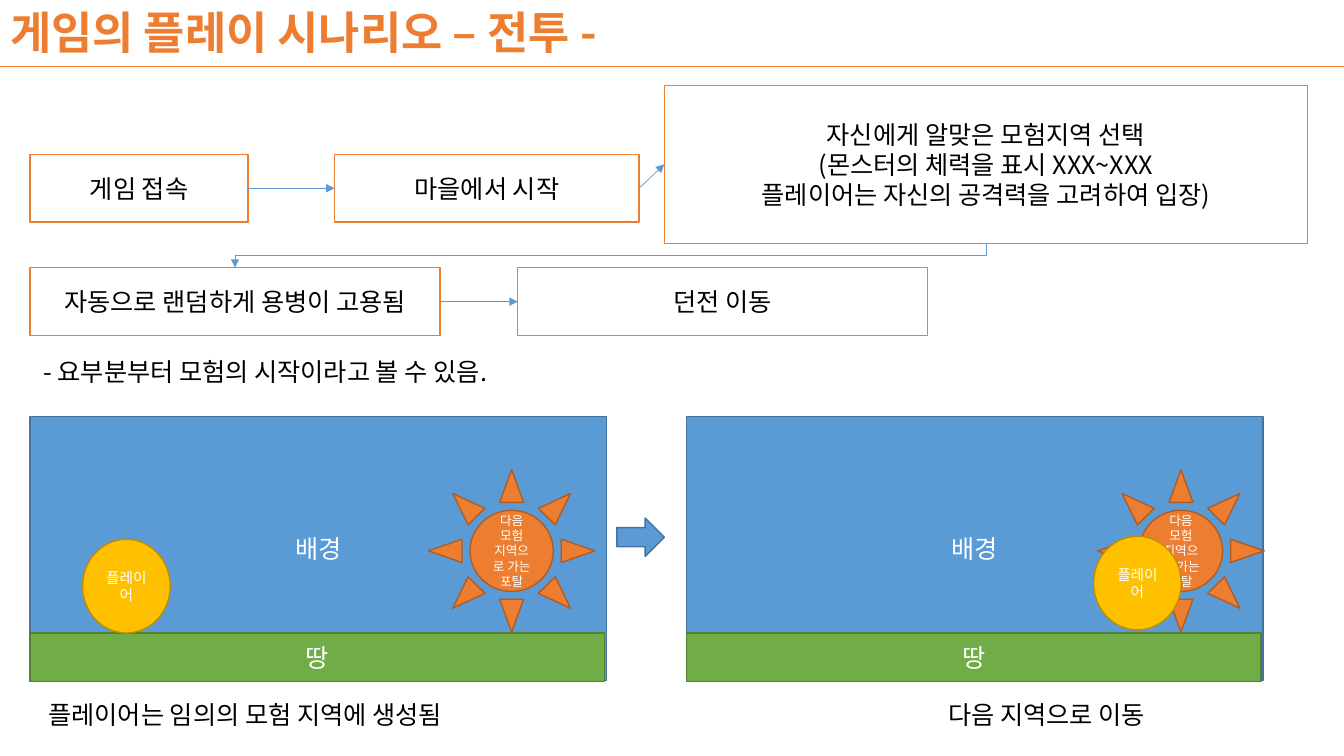
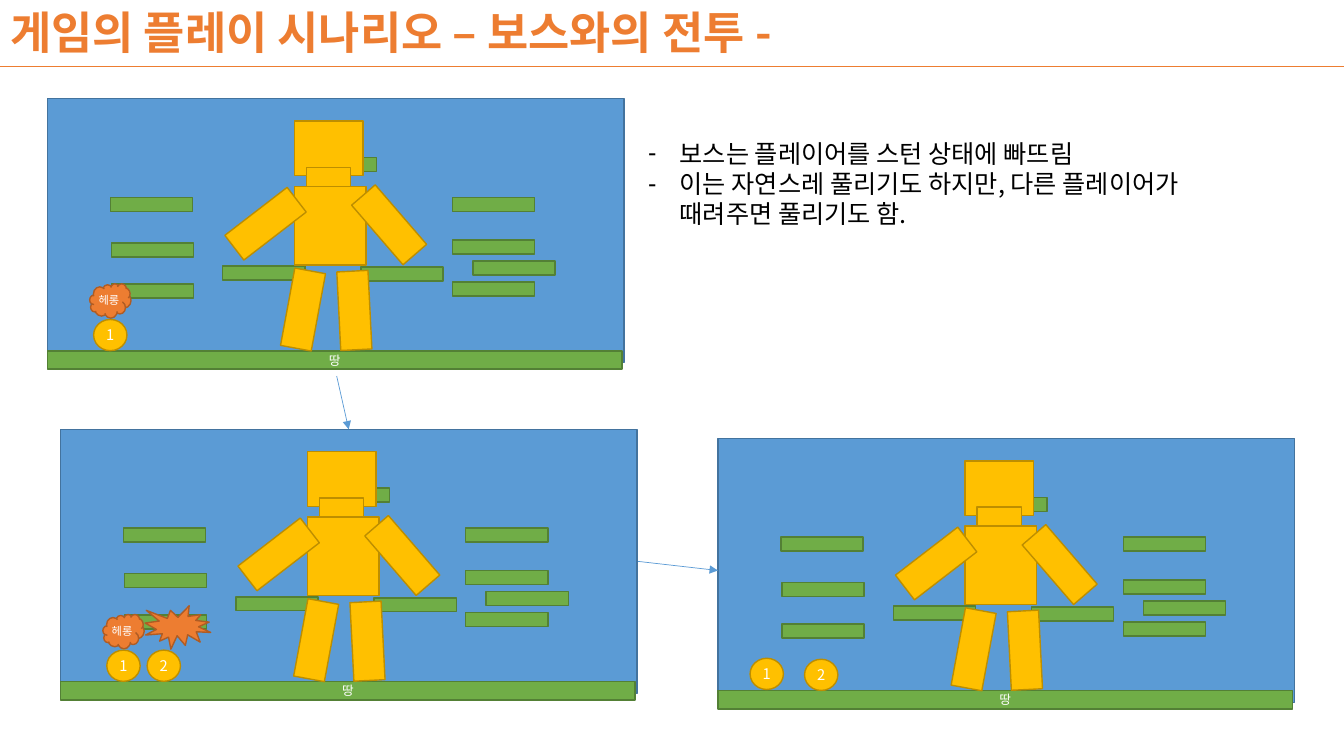
from dataclasses import dataclass

from lxml.etree import SubElement
from pptx import Presentation
from pptx.dml.color import RGBColor
from pptx.enum.shapes import MSO_CONNECTOR as Connector, MSO_SHAPE as Preset
from pptx.enum.text import MSO_ANCHOR as Anchor, MSO_AUTO_SIZE as AutoSize, PP_ALIGN as Align
from pptx.oxml.ns import qn
from pptx.shapes.base import BaseShape
from pptx.slide import Slide
from pptx.text.text import TextFrame
from pptx.util import Pt

FONT = "Noto Sans CJK KR"
BLACK, WHITE = "000000", "FFFFFF"
ORANGE, BLUE = "ED7D31", "5B9BD5"
TITLE_ONLY, TITLE_AND_CONTENT = 5, 1


@dataclass(frozen=True)
class Style:
    fill: str
    line: str
    text: str = WHITE


STEP = Style(WHITE, ORANGE, BLACK)
SKY = Style(BLUE, "43739E")
GROUND = Style("70AD47", "538035")
BODY = Style("FFC000", "BD8E00")
EFFECT = Style(ORANGE, "AF5C24")


@dataclass(frozen=True)
class Box:
    left: float
    top: float
    width: float
    height: float
    rotation: float = 0

    def moved(self, x: float, y: float) -> "Box":
        return Box(self.left + x, self.top + y, self.width, self.height, self.rotation)


@dataclass(frozen=True)
class Step:
    box: Box
    text: str


@dataclass(frozen=True)
class Arrow:
    start: tuple[float, float]
    end: tuple[float, float]


# Shared drawing functions
def color(value: str) -> RGBColor:
    return RGBColor.from_string(value)


def write(frame: TextFrame, text: str, *, size: float = 18, ink: str = BLACK,
          bold: bool = False, align: Align = Align.LEFT,
          anchor: Anchor = Anchor.TOP, bullet: str = "", tight: bool = False) -> None:
    frame.word_wrap = True
    frame.auto_size = AutoSize.NONE
    frame.vertical_anchor = anchor
    if tight:
        frame.margin_left = frame.margin_right = Pt(0)
        frame.margin_top = frame.margin_bottom = Pt(0)
    for index, line in enumerate(text.split("\n")):
        paragraph = frame.paragraphs[0] if index == 0 else frame.add_paragraph()
        paragraph.alignment = align
        paragraph.space_before = Pt(0)
        if bullet:
            properties = paragraph._p.get_or_add_pPr()
            properties.set("marL", str(Pt(22.5)))
            properties.set("indent", str(-Pt(22.5)))
            SubElement(properties, qn("a:buChar")).set("char", bullet)
        run = paragraph.add_run()
        run.text = line
        font = run.font
        font.name, font.size, font.bold = FONT, Pt(size), bold
        font.color.rgb = color(ink)
        SubElement(font._element, qn("a:ea")).set("typeface", FONT)


def place(shape: BaseShape, box: Box) -> None:
    shape.left, shape.top = Pt(box.left), Pt(box.top)
    shape.width, shape.height = Pt(box.width), Pt(box.height)


def draw_shape(slide: Slide, box: Box, style: Style, text: str = "", size: float = 18,
               preset: Preset = Preset.RECTANGLE, tight: bool = False) -> None:
    shape = slide.shapes.add_shape(
        preset, Pt(box.left), Pt(box.top), Pt(box.width), Pt(box.height))
    shape.rotation = box.rotation
    shape.shadow.inherit = False
    shape.fill.solid()
    shape.fill.fore_color.rgb = color(style.fill)
    shape.line.color.rgb = color(style.line)
    shape.line.width = Pt(1)
    if text:
        write(shape.text_frame, text, size=size, ink=style.text,
              align=Align.CENTER, anchor=Anchor.MIDDLE, tight=tight)


def draw_text(slide: Slide, box: Box, text: str) -> None:
    text_box = slide.shapes.add_textbox(
        Pt(box.left), Pt(box.top), Pt(box.width), Pt(box.height))
    write(text_box.text_frame, text)


def draw_line(slide: Slide, line: Arrow, ink: str = BLUE, head: bool = True,
              kind: Connector = Connector.STRAIGHT, rotation: int = 0) -> None:
    connector = slide.shapes.add_connector(
        kind, *(Pt(value) for value in (*line.start, *line.end)))
    connector.line.color.rgb = color(ink)
    connector.line.width = Pt(0.5)
    properties = connector._element.spPr
    if head:
        SubElement(properties.find(qn("a:ln")), qn("a:tailEnd")).set("type", "triangle")
    SubElement(properties, qn("a:effectLst"))
    if rotation:
        properties.find(qn("a:xfrm")).set("rot", str(rotation * 60000))


def draw_drop(slide: Slide, line: Arrow) -> None:
    """Elbow that leaves downwards, runs left and arrives downwards."""
    (x1, y1), (x2, y2) = line.start, line.end
    center_x, center_y = (x1 + x2) / 2, (y1 + y2) / 2
    half_drop, half_run = (y2 - y1) / 2, (x1 - x2) / 2
    turned = Arrow((center_x - half_drop, center_y - half_run),
                   (center_x + half_drop, center_y + half_run))
    draw_line(slide, turned, kind=Connector.ELBOW, rotation=90)


def add_titled_slide(layout: int, title: str) -> Slide:
    slide = presentation.slides.add_slide(presentation.slide_layouts[layout])
    draw_line(slide, Arrow((0, 47.5), (960, 47.5)), ink=ORANGE, head=False)
    place(slide.shapes.title, Box(0, 0, 795.5, 46))
    write(slide.shapes.title.text_frame, title, size=32, ink=ORANGE, bold=True)
    return slide


def draw_scene(slide: Slide, x: float, y: float, ground_top: float,
               ground_height: float, ground_size: float = 18) -> None:
    draw_shape(slide, Box(x, y, 412, 188.6), SKY, "배경")
    draw_shape(slide, Box(x, y + ground_top, 410.5, ground_height), GROUND,
               "땅", ground_size, tight=True)


def draw_ball(slide: Slide, box: Box, text: str, tight: bool = False) -> None:
    draw_shape(slide, box, BODY, text, 10.5, Preset.OVAL, tight)


presentation = Presentation()
presentation.slide_width, presentation.slide_height = Pt(960), Pt(540)

# Slide 1: from login to the next region
battle = add_titled_slide(TITLE_ONLY, "게임의 플레이 시나리오 – 전투 -")

STEPS = [
    Step(Box(21.5, 110.2, 155.7, 48.5), "게임 접속"),
    Step(Box(239, 110.2, 217.5, 48.5), "마을에서 시작"),
    Step(Box(474.5, 61, 459.5, 112.8),
         "자신에게 알맞은 모험지역 선택\n(몬스터의 체력을 표시 XXX~XXX\n"
         "플레이어는 자신의 공격력을 고려하여 입장)"),
    Step(Box(21.5, 191.2, 292.8, 48.5), "자동으로 랜덤하게 용병이 고용됨"),
    Step(Box(369.8, 191.2, 292.8, 48.5), "던전 이동"),
]
for step in STEPS:
    draw_shape(battle, step.box, STEP, step.text)

STEP_ARROWS = [
    Arrow((177.2, 134.5), (239, 134.5)),
    Arrow((456.5, 134.5), (474.5, 117.4)),
    Arrow((314.3, 215.5), (369.8, 215.5)),
]
for arrow in STEP_ARROWS:
    draw_line(battle, arrow)
draw_drop(battle, Arrow((704.3, 173.8), (167.9, 191.2)))

for scene_left in (21.5, 490.3):
    draw_scene(battle, scene_left, 297.4, 154.6, 34.6)
for portal_left in (306, 784.1):
    draw_shape(battle, Box(portal_left, 335.5, 119, 116), EFFECT,
               "다음 모험 지역으로 가는 포탈", 9, Preset.SUN)
for ball_left, ball_top in ((59, 385.2), (781.2, 383)):
    draw_ball(battle, Box(ball_left, ball_top, 62.6, 67), "플레이어")
draw_shape(battle, Box(440.6, 370, 34, 27.4), SKY, preset=Preset.RIGHT_ARROW)

draw_text(battle, Box(23.8, 251.3, 913, 29), "- 요부분부터 모험의 시작이라고 볼 수 있음.")
draw_text(battle, Box(27.4, 496, 387.4, 29), "플레이어는 임의의 모험 지역에 생성됨")
draw_text(battle, Box(670.3, 496, 211.7, 29), "다음 지역으로 이동")

# Slide 2: boss battle in three arenas
boss_battle = add_titled_slide(TITLE_AND_CONTENT, "게임의 플레이 시나리오 – 보스와의 전투 -")
notes_list = boss_battle.placeholders[1]
place(notes_list, Box(455.8, 95, 415.4, 72.7))
write(notes_list.text_frame,
      "보스는 플레이어를 스턴 상태에 빠뜨림\n"
      "이는 자연스레 풀리기도 하지만, 다른 플레이어가 때려주면 풀리기도 함.", bullet="-")

# Positions inside an arena, measured from its top left corner
PLATFORMS = [
    (45.7, 132.5), (45.7, 103), (45, 70.5), (289.5, 70.5), (289.5, 101),
    (289.5, 131), (304, 116), (224, 120.3), (125.3, 119.6), (176.5, 42),
]
BOSS_PARTS = [
    Box(176.5, 16, 49, 39),            # head
    Box(185, 49, 31.7, 15),            # neck
    Box(176.5, 62.6, 51.2, 56.2),      # torso
    Box(144.7, 61.2, 22.3, 56.2, 52.4),
    Box(233, 62, 22.3, 56.2, 319.2),
    Box(208.2, 123.2, 22.3, 56.2, 357.1),
    Box(171.5, 122.5, 22.3, 56.2, 10.5),
]
STUN_CLOUD = Box(30.3, 132.2, 29.5, 24.5)
HIT_BURST = Box(60.5, 126, 46.8, 31)


@dataclass(frozen=True)
class Arena:
    left: float
    top: float
    players: tuple[tuple[float, float], ...]
    stunned: bool = False
    hit: bool = False


ARENAS = [
    Arena(33.8, 70.5, ((33.1, 157.7),), stunned=True),
    Arena(43.2, 306.7, ((33.1, 157.7), (61.9, 157.7)), stunned=True, hit=True),
    Arena(512.8, 313.2, ((23, 157), (61.9, 157.7))),
]


def draw_arena(slide: Slide, arena: Arena) -> None:
    x, y = arena.left, arena.top
    draw_scene(slide, x, y, 180.2, 13, ground_size=9)
    for left, top in PLATFORMS:
        draw_shape(slide, Box(left, top, 58.7, 10).moved(x, y), GROUND)
    for part in BOSS_PARTS:
        draw_shape(slide, part.moved(x, y), BODY)
    if arena.stunned:
        draw_shape(slide, STUN_CLOUD.moved(x, y), EFFECT, "헤롱", 8, Preset.CLOUD, tight=True)
    if arena.hit:
        draw_shape(slide, HIT_BURST.moved(x, y), EFFECT, preset=Preset.EXPLOSION1)
    for number, (left, top) in enumerate(arena.players, start=1):
        draw_ball(slide, Box(left, top, 23.8, 22.3).moved(x, y), str(number), tight=True)


for arena in ARENAS:
    draw_arena(boss_battle, arena)
for arrow in (Arrow((240.5, 268.6), (249.1, 306.7)), Arrow((455.8, 401), (512.8, 407.5))):
    draw_line(boss_battle, arrow)

presentation.save("out.pptx")
